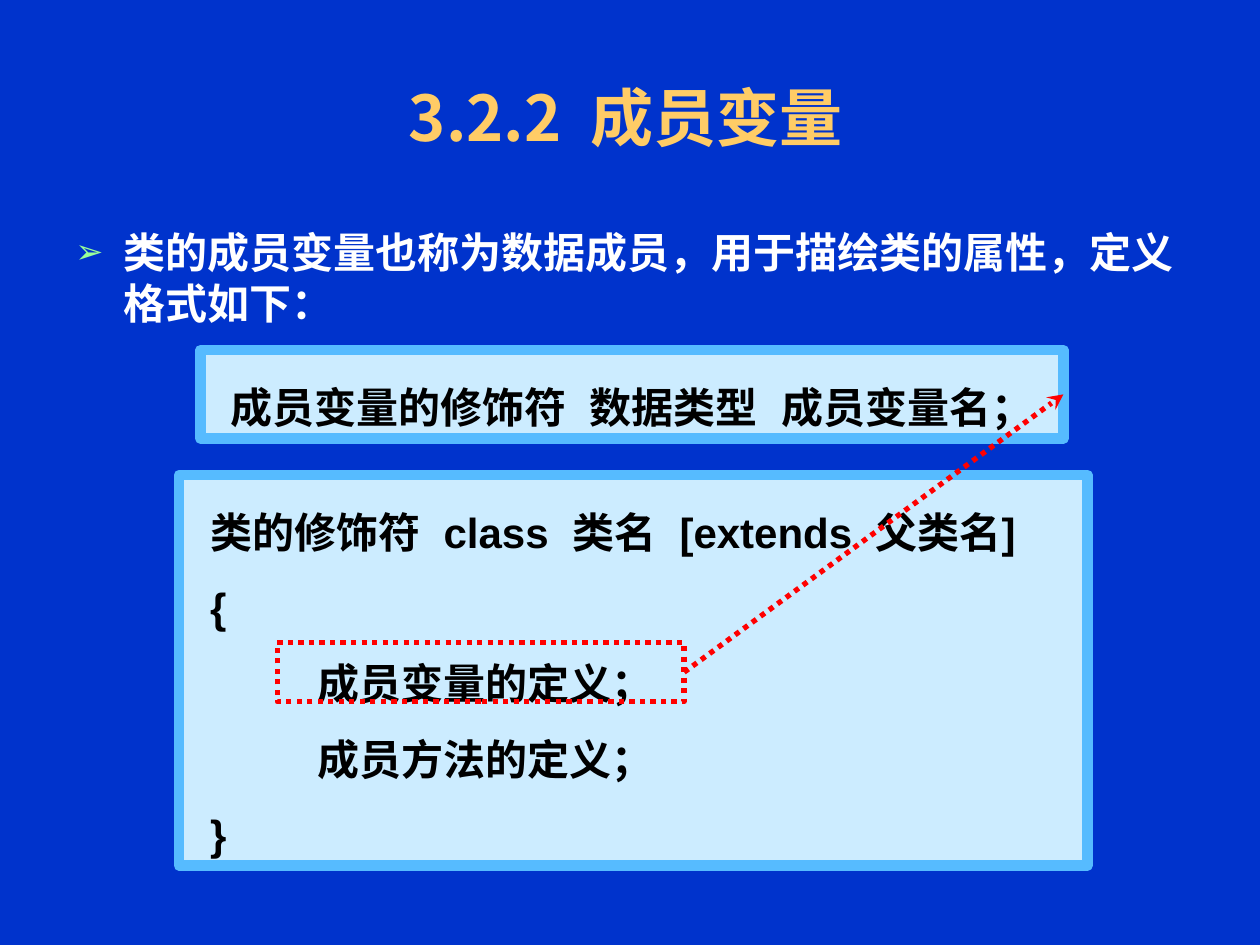
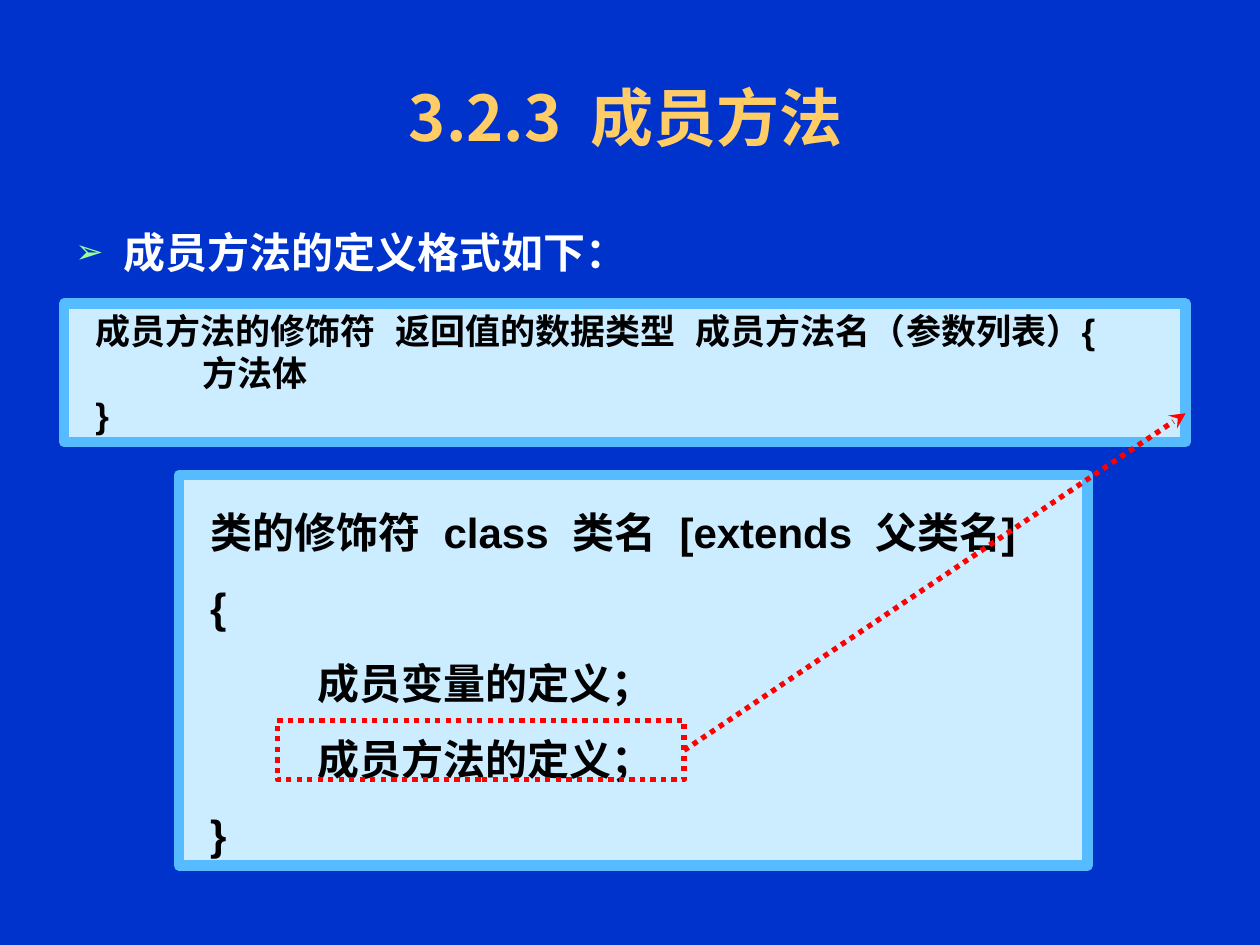
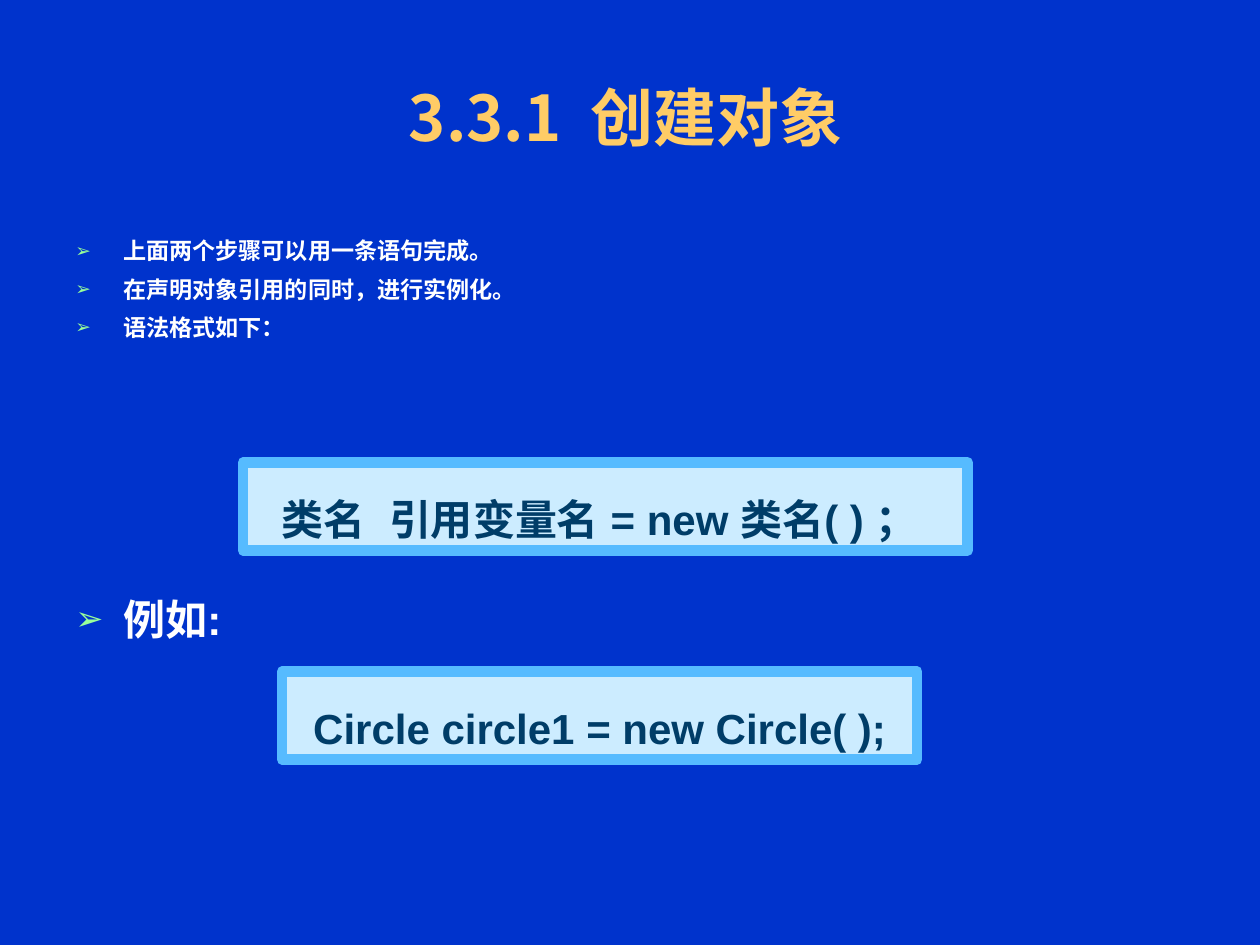
from dataclasses import dataclass

from pptx import Presentation
from pptx.dml.color import RGBColor
from pptx.enum.dml import MSO_LINE
from pptx.enum.shapes import MSO_CONNECTOR, MSO_SHAPE
from pptx.enum.text import MSO_ANCHOR, PP_ALIGN
from pptx.oxml.ns import qn
from pptx.util import Inches, Pt
from lxml import etree

LEFT, CENTER = PP_ALIGN.LEFT, PP_ALIGN.CENTER
TOP, MIDDLE = MSO_ANCHOR.TOP, MSO_ANCHOR.MIDDLE
RECT, STRAIGHT = MSO_SHAPE.RECTANGLE, MSO_CONNECTOR.STRAIGHT
DOT = MSO_LINE.ROUND_DOT
RIGHT = 3


@dataclass(frozen=True)
class Theme:
    back: str = "0033CC"
    gold: str = "FFCC66"
    white: str = "FFFFFF"
    black: str = "000000"
    navy: str = "003D68"
    green: str = "99FF99"
    pale: str = "CCECFF"
    sky: str = "56BBFF"
    red: str = "FF0000"
    sans: str = "Arial"
    head: str = "Noto Sans CJK SC"
    title: float = 36
    main: float = 24
    code: float = 20
    small: float = 13.2
    frame: float = 6
    dots: float = 3
    hang: float = 0.38


THEME = Theme()
GAP = {THEME.sans: 0.28, THEME.head: 0.23}
CLASS = [
    (0.15, "类的修饰符|class|类名|[extends|父类名]"),
    (0.15, "{"),
    (1, "成员变量的定义；"),
    (1, "成员方法的定义；"),
    (0.15, "}"),
]


def color(text):
    return RGBColor.from_string(text)


def apply(item, form):
    for name, value in form.items():
        setattr(item, name, value)


def place(item, box):
    apply(item, dict(zip(("left", "top", "width", "height"), map(Inches, box))))


def add_run(par, text, size, tint, face):
    run = par.add_run()
    run.text = text
    apply(run.font, {"size": Pt(size), "bold": True, "name": face})
    run.font.color.rgb = color(tint)
    etree.SubElement(run.font._element, qn("a:ea"), typeface=face)
    return run


def write(par, text, size, tint, face=THEME.sans):
    for i, part in enumerate(text.split("|")):
        if i:
            gap = add_run(par, " ", size, tint, face)
            gap.font._element.set("spc", str(round(GAP[face] * size * 100)))
        add_run(par, part, size, tint, face)


def get_pars(frame, count):
    return [frame.paragraphs[0]] + [frame.add_paragraph() for _ in range(count - 1)]


def indent(par, left, first=0):
    props = par._p.get_or_add_pPr()
    props.set("marL", str(Inches(left)))
    props.set("indent", str(Inches(first)))
    return props


def add_page(deck, text):
    page = deck.slides.add_slide(deck.slide_layouts[5])
    page.background.fill.solid()
    page.background.fill.fore_color.rgb = color(THEME.back)
    title = page.shapes.title
    place(title, (0.43, 0.3, 9.07, 1.25))
    apply(title.text_frame, {"vertical_anchor": MIDDLE, "word_wrap": True})
    par = title.text_frame.paragraphs[0]
    par.alignment = CENTER
    write(par, text, THEME.title, THEME.gold, THEME.head)
    return page


def add_list(page, box, lines, size=THEME.main):
    frame = page.shapes.add_textbox(*map(Inches, box)).text_frame
    frame.word_wrap = True
    for i, (par, text) in enumerate(zip(get_pars(frame, len(lines)), lines)):
        if i:
            par.space_before = Pt(6)
        props = indent(par, THEME.hang, -THEME.hang)
        tint = etree.SubElement(props, qn("a:buClr"))
        etree.SubElement(tint, qn("a:srgbClr"), val=THEME.green)
        etree.SubElement(props, qn("a:buSzPct"), val="80000")
        etree.SubElement(props, qn("a:buFont"), typeface=THEME.sans)
        etree.SubElement(props, qn("a:buChar"), char="➢")
        write(par, text, size, THEME.white)


def add_rect(page, box, edge, width):
    rect = page.shapes.add_shape(RECT, *map(Inches, box))
    rect.shadow.inherit = False
    rect.fill.background()
    rect.line.color.rgb = color(edge)
    rect.line.width = Pt(width)
    return rect


def add_code(page, box, lines, size=THEME.main, tint=THEME.black, align=LEFT, space=1.5):
    rect = add_rect(page, box, THEME.sky, THEME.frame)
    rect.fill.solid()
    rect.fill.fore_color.rgb = color(THEME.pale)
    frame = rect.text_frame
    apply(frame, {"vertical_anchor": TOP, "word_wrap": True})
    for par, (left, text) in zip(get_pars(frame, len(lines)), lines):
        apply(par, {"alignment": align, "line_spacing": space})
        indent(par, left)
        write(par, text, size, tint)
    return rect


def add_mark(page, top):
    mark = add_rect(page, (2.2, top, 3.23, 0.47), THEME.red, THEME.dots)
    mark.line.dash_style = DOT
    return mark


def add_arrow(page, mark, end):
    link = page.shapes.add_connector(STRAIGHT, 0, 0, *map(Inches, end))
    link.begin_connect(mark, RIGHT)
    link.line.color.rgb = color(THEME.red)
    apply(link.line, {"width": Pt(THEME.dots), "dash_style": DOT})
    etree.SubElement(link.line._get_or_add_ln(), qn("a:tailEnd"), type="stealth")
    etree.SubElement(link._element.spPr, qn("a:effectLst"))
    return link


def add_class(page, top):
    add_code(page, (1.42, 3.77, 7.21, 3.1), CLASS)
    return add_mark(page, top)


def add_field(deck):
    page = add_page(deck, "3.2.2|成员变量")
    add_list(page, (0.5, 1.75, 9.15, 0.98),
             ["类的成员变量也称为数据成员，用于描绘类的属性，定义格式如下："])
    mark = add_class(page, 5.1)
    form = add_code(page, (1.59, 2.78, 6.85, 0.7),
                    [(0, "成员变量的修饰符|数据类型|成员变量名；")], align=CENTER)
    add_arrow(page, mark, (8.44, 3.13)).end_connect(form, RIGHT)


def add_method(deck):
    page = add_page(deck, "3.2.3|成员方法")
    add_list(page, (0.5, 1.75, 9.15, 0.74), ["成员方法的定义格式如下："])
    mark = add_class(page, 5.72)
    lines = [
        (0.15, "成员方法的修饰符|返回值的数据类型|成员方法名（参数列表）{"),
        (1, "方法体"),
        (0.15, "}"),
    ]
    add_code(page, (0.51, 2.41, 8.9, 1.1), lines, THEME.code, space=1)
    add_arrow(page, mark, (9.41, 3.28))


def add_object(deck):
    page = add_page(deck, "3.3.1|创建对象")
    add_list(page, (0.5, 1.83, 9.3, 0.98), [
        "上面两个步骤可以用一条语句完成。",
        "在声明对象引用的同时，进行实例化。",
        "语法格式如下：",
    ], THEME.small)
    add_code(page, (1.93, 3.67, 5.75, 0.7),
             [(0, "类名|引用变量名 = new 类名( ) ； ")], tint=THEME.navy, align=CENTER)
    add_list(page, (0.5, 4.66, 9.15, 0.58), ["例如:"])
    add_code(page, (2.24, 5.33, 5.04, 0.7),
             [(0, "Circle circle1 = new Circle( );")], tint=THEME.navy, align=CENTER)


def main():
    deck = Presentation()
    apply(deck, {"slide_width": Inches(10), "slide_height": Inches(7.5)})
    add_field(deck)
    add_method(deck)
    add_object(deck)
    deck.save("out.pptx")


if __name__ == "__main__":
    main()
